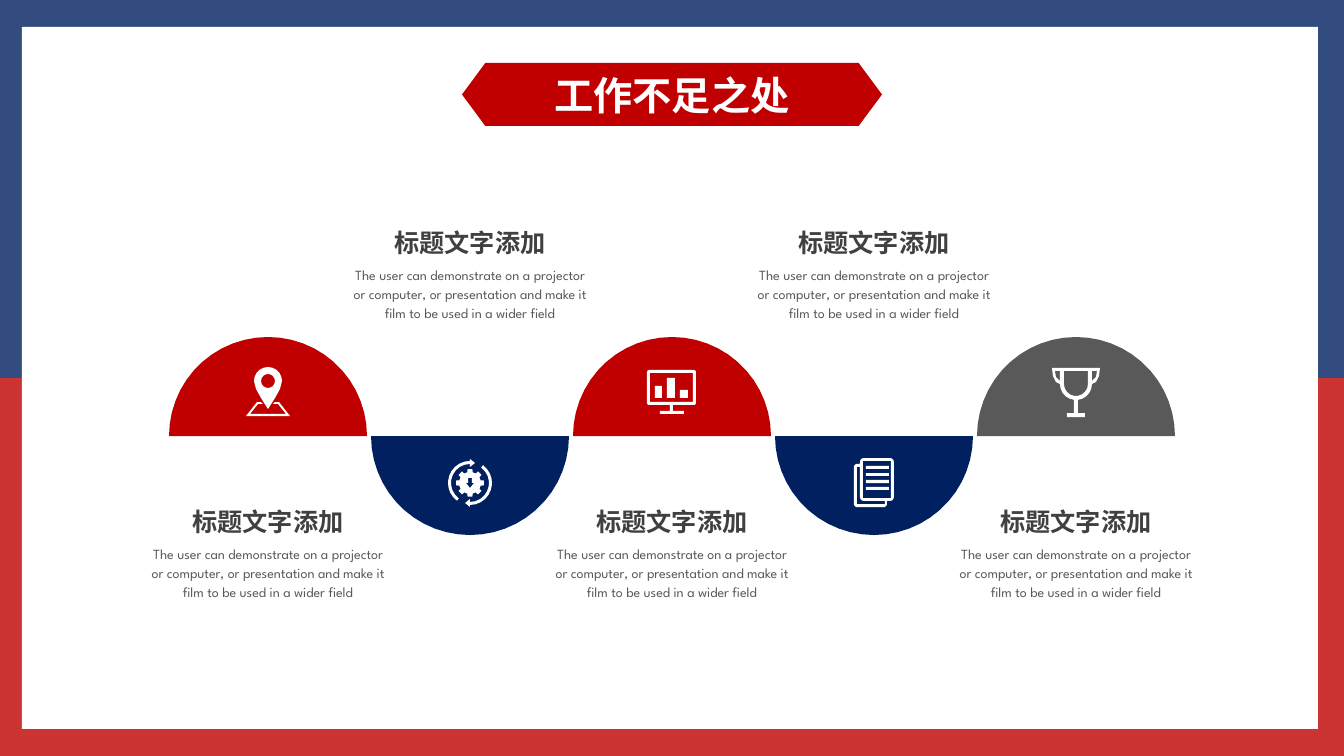
from math import cos, radians, sin, sqrt

from lxml.etree import SubElement
from pptx import Presentation
from pptx.dml.color import RGBColor
from pptx.enum.shapes import MSO_SHAPE
from pptx.enum.text import MSO_ANCHOR, MSO_AUTO_SIZE, PP_ALIGN
from pptx.oxml.ns import qn
from pptx.util import Pt

RED, NAVY, GREY, DARK, WHITE = "C00000", "002060", "595959", "404040", "FFFFFF"
LATIN, CHINESE = "League Spartan", "Noto Sans CJK SC"
TITLE = "工作不足之处"
HEADING = "标题文字添加"
BODY = ("The user can demonstrate on a projector or computer, or presentation "
        "and make it film to be used in a wider field")
STEPS = [("pin", RED), ("cycle", NAVY), ("chart", RED), ("papers", NAVY), ("trophy", GREY)]

SLIDE_W, SLIDE_H = 1344, 756
FIRST_X, PITCH, BASELINE, RADIUS = 268, 202, 436, 99
HEADING_W, HEADING_H, BODY_W, BODY_H = 235, 40, 259, 88


def px(length):
    return round(length * 914400 / 100.8)


def color(value):
    return RGBColor.from_string(value)


def arc(x, y, radius, start, end):
    count = max(2, round(abs(end - start) * sqrt(radius) / 70))
    angles = [radians(start + (end - start) * i / count) for i in range(count + 1)]
    return [(x + radius * cos(a), y + radius * sin(a)) for a in angles]


def box(left, top, width, height, r=0):
    right, bottom = left + width, top + height
    if not r:
        return [(left, top), (right, top), (right, bottom), (left, bottom)]
    return (arc(left + r, top + r, r, 180, 270) + arc(right - r, top + r, r, 270, 360)
            + arc(right - r, bottom - r, r, 0, 90) + arc(left + r, bottom - r, r, 90, 180))


def flip(points):
    return [(-x, y) for x, y in reversed(points)]


def mirrored(points):
    return points + flip(points)


def pin():
    sheet = [(-18, 22), (-10, 12), (-5, 12), (-7, 10), (-11, 10), (-22, 24)]
    side = [(12, -3), (7, 6)]
    return [mirrored(sheet),
            arc(0, -11, 14, 180, 360) + side + [(0, 17)] + flip(side),
            arc(0, -11, 7, 0, 360)]


def cycle():
    arrow = (arc(0, 0, 22, -54, 90) + [(0, 24), (-5, 20), (0, 16)]
             + arc(0, 0, 19, 90, -54))
    gear = [(r * cos(radians(45 * tooth + turn)), r * sin(radians(45 * tooth + turn)))
            for tooth in range(8) for r, turn in ((11, -14), (14, -10), (14, 10), (11, 14))]
    return [arrow, [(-x, -y) for x, y in arrow], gear,
            mirrored([(-2, -5), (-2, 0), (-4, 0), (0, 5)])]


def chart():
    bars = [box(-17, -6, 7, 12), box(-5, -14, 8, 20), box(8, -2, 8, 8)]
    return [box(-25, -22, 49, 35, 2), box(-22, -19, 43, 29), *bars,
            box(-2, 13, 3, 6), box(-12, 19, 24, 3)]


def papers():
    back = [(-14, -19), (-18, -19), (-20, -17), (-20, 22), (-18, 24), (11, 24), (13, 22),
            (13, 18), (11, 18), (11, 21), (-17, 21), (-17, -16), (-14, -16)]
    lines = [box(-8, -17 + 7 * row, 23, 3) for row in range(4)]
    return [back, box(-14, -25, 34, 43, 4), box(-11, -22, 28, 37), *lines]


def trophy():
    side = ([(-24, -24), (-23, -16), (-20, -10), (-16, -8)] + arc(0, -8, 16, 180, 97)
            + [(-2, 21), (-9, 21), (-9, 25)])
    handle = [(-16, -21), (-16, -11), (-20, -15), (-21, -21)]
    return [mirrored(side), [(-12, -21)] + arc(0, -8, 12, 180, 0) + [(12, -21)],
            handle, flip(handle)]


ICONS = {"pin": pin, "cycle": cycle, "chart": chart, "papers": papers, "trophy": trophy}


def paint(shape, fill):
    shape.shadow.inherit = False
    shape.fill.solid()
    shape.fill.fore_color.rgb = color(fill)
    shape.line.fill.background()
    return shape


def add_preset(kind, left, top, width, height, fill):
    return paint(shapes.add_shape(kind, px(left), px(top), px(width), px(height)), fill)


def add_outline(contours, x, y, fill):
    placed = [[(px(x + dx), px(y + dy)) for dx, dy in contour] for contour in contours]
    builder = shapes.build_freeform(*placed[0][0])
    builder.add_line_segments(placed[0][1:])
    for contour in placed[1:]:
        builder.move_to(*contour[0])
        builder.add_line_segments(contour[1:])
    paint(builder.convert_to_shape(), fill)


def write(frame, text, size, fill, latin, bold=False, spacing=None):
    paragraph = frame.paragraphs[0]
    paragraph.alignment = PP_ALIGN.CENTER
    paragraph.line_spacing = spacing
    run = paragraph.add_run()
    run.text = text
    run.font.size, run.font.bold, run.font.name = Pt(size), bold, latin
    run.font.color.rgb = color(fill)
    SubElement(run.font._element, qn("a:ea")).set("typeface", CHINESE)


def add_text(center, top, width, height, *style, **options):
    frame = shapes.add_textbox(px(center - width / 2), px(top), px(width), px(height)).text_frame
    frame.word_wrap = True
    write(frame, *style, **options)


presentation = Presentation()
presentation.slide_width, presentation.slide_height = px(SLIDE_W), px(SLIDE_H)
slide = presentation.slides.add_slide(presentation.slide_layouts[5])
shapes = slide.shapes

for half, band_color in enumerate((NAVY, RED)):
    band = add_preset(MSO_SHAPE.RECTANGLE, 0, half * SLIDE_H // 2, SLIDE_W, SLIDE_H // 2, band_color)
    tint = band.fill._xPr.find(qn("a:solidFill"))[0]
    SubElement(tint, qn("a:alpha")).set("val", "80000")
add_preset(MSO_SHAPE.RECTANGLE, 22, 27, 1296, 702, WHITE)

for index, (icon, step_color) in enumerate(STEPS):
    center, below = FIRST_X + PITCH * index, index % 2
    start = 0 if below else 180
    add_outline([arc(0, 0, RADIUS, start, start + 180)], center, BASELINE, step_color)
    add_outline(ICONS[icon](), center, BASELINE + (47 if below else -44), WHITE)
    heading_top = 222 if below else 501
    add_text(center, heading_top, HEADING_W, HEADING_H, HEADING, 18, DARK, LATIN, bold=True)
    add_text(center, heading_top + 37, BODY_W, BODY_H, BODY, 10, GREY, LATIN, spacing=1.14)

banner = add_preset(MSO_SHAPE.HEXAGON, 462, 63, 420, 63, RED)
banner.adjustments[0] = 0.37

title = shapes.title
title.left, title.top, title.width, title.height = px(543), px(66), px(258), px(57)
title.text_frame.auto_size = MSO_AUTO_SIZE.NONE
title.text_frame.word_wrap = False
title.text_frame.vertical_anchor = MSO_ANCHOR.MIDDLE
write(title.text_frame, TITLE, 28, WHITE, CHINESE, bold=True)
banner._element.addnext(title._element)

presentation.save("out.pptx")
